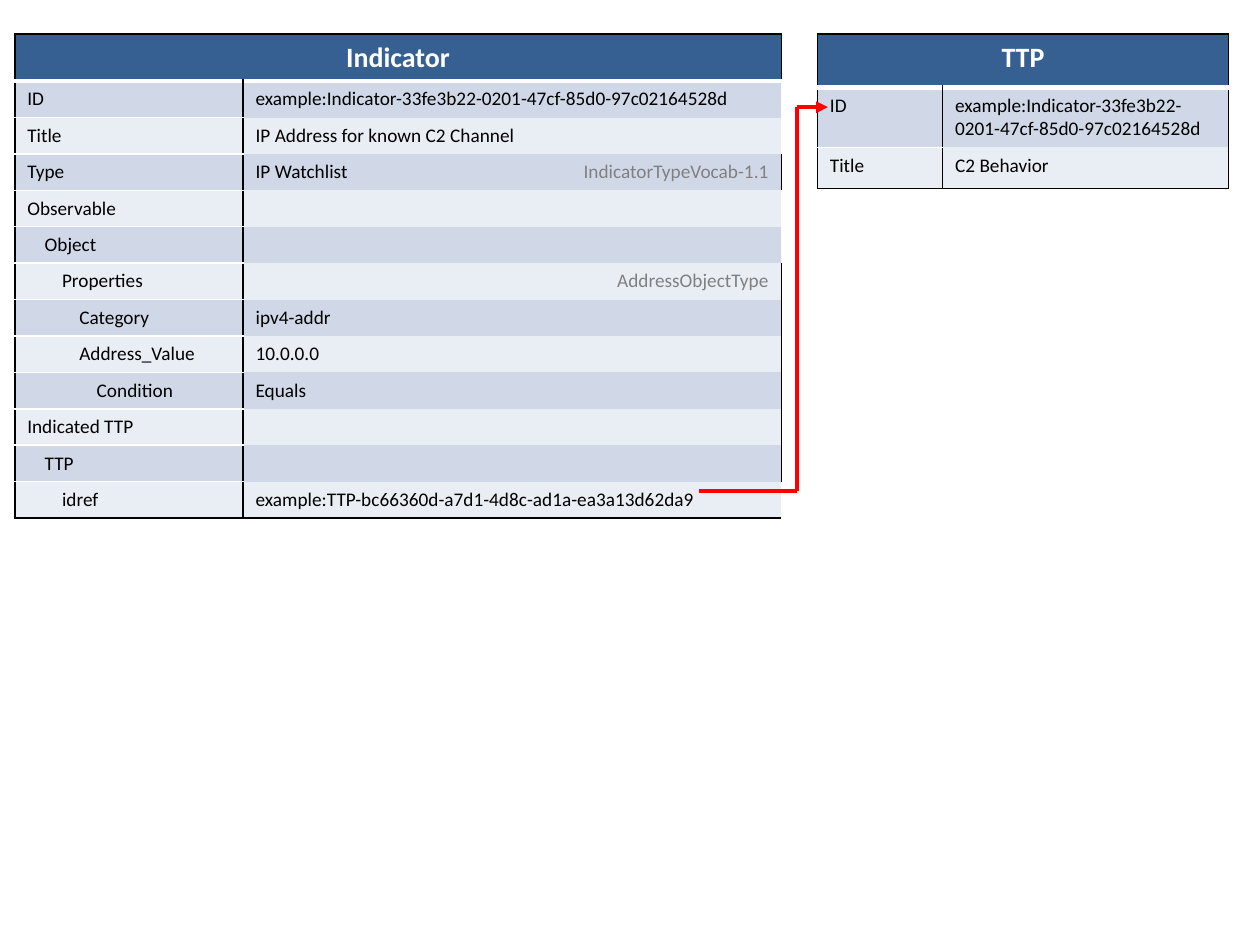
from itertools import pairwise

from lxml import etree
from pptx import Presentation
from pptx.dml.color import RGBColor
from pptx.enum.shapes import MSO_CONNECTOR
from pptx.enum.text import PP_ALIGN
from pptx.oxml.ns import qn
from pptx.util import Cm, Pt

STRAIGHT = MSO_CONNECTOR.STRAIGHT
LEFT, CENTER, RIGHT = PP_ALIGN.LEFT, PP_ALIGN.CENTER, PP_ALIGN.RIGHT

FONT = "Calibri"
BLACK, WHITE, GREY, RED = "000000", "FFFFFF", "808080", "FF0000"
HEADER, BANDS = "376092", ("D0D8E8", "E9EDF4")
MARGIN, INDENT = 0.25, 0.35

# Rows: indent level, field, then values; None joins a cell to the one before.
INDICATOR = {
    "title": "Indicator",
    "at": (0.3, 0.69),
    "cols": (4.6, 4.95, 5.9),
    "heights": (0.94,) + (0.73,) * 12,
    "rows": [
        (0, "ID", "example:Indicator-33fe3b22-0201-47cf-85d0-97c02164528d", None),
        (0, "Title", "IP Address for known C2 Channel", None),
        (0, "Type", "IP Watchlist", "IndicatorTypeVocab-1.1"),
        (0, "Observable", "", None),
        (1, "Object", "", None),
        (2, "Properties", "", "AddressObjectType"),
        (3, "Category", "ipv4-addr", ""),
        (3, "Address_Value", "10.0.0.0", ""),
        (4, "Condition", "Equals", ""),
        (0, "Indicated TTP", "", ""),
        (1, "TTP", "", ""),
        (2, "idref", "example:TTP-bc66360d-a7d1-4d8c-ad1a-ea3a13d62da9", None),
    ],
}
TTP = {
    "title": "TTP",
    "at": (16.48, 0.69),
    "cols": (2.52, 5.77),
    "heights": (1.07, 1.2, 0.83),
    "rows": [
        (0, "ID", "example:Indicator-33fe3b22-0201-47cf-85d0-97c02164528d"),
        (0, "Title", "C2 Behavior"),
    ],
}
REFERENCE = [(14.1, 9.9), (16.06, 9.9), (16.06, 2.16), (16.69, 2.16)]


def rgb(color):
    return RGBColor.from_string(color)


def set_borders(cell, edges):
    """edges maps L, R, T, B to (colour, points); a missing edge is not drawn."""
    tcPr = cell._tc.get_or_add_tcPr()
    for edge in "LRTB":
        ln = etree.SubElement(tcPr, qn(f"a:ln{edge}"))
        if edge in edges:
            color, width = edges[edge]
            ln.set("w", str(Pt(width)))
            fill = etree.SubElement(ln, qn("a:solidFill"))
            etree.SubElement(fill, qn("a:srgbClr"), val=color)
        else:
            etree.SubElement(ln, qn("a:noFill"))


def edges_of(row, col, last_row, last_col):
    """Black frame and field divider, white rules under header and fields."""
    edges = {}
    if row == 0 or col < 2:
        edges["L"] = (BLACK, 1)
    if row == 0 or col in (0, last_col):
        edges["R"] = (BLACK, 1)
    if row == 0:
        edges.update(T=(BLACK, 1), B=(WHITE, 3))
    elif row == 1:
        edges["T"] = (WHITE, 3)
    elif col == 0:
        edges["T"] = (WHITE, 1)
    if row == last_row:
        edges["B"] = (BLACK, 1)
    elif row and col == 0:
        edges["B"] = (WHITE, 1)
    return edges


def write(cell, text, size, color, align, bold=False):
    p = cell.text_frame.paragraphs[0]
    p.text = text
    p.alignment = align
    for r in p.runs:
        r.font.name, r.font.size, r.font.bold = FONT, Pt(size), bold
        r.font.color.rgb = rgb(color)
    if not text:
        etree.SubElement(p._p, qn("a:endParaRPr"), sz=str(size * 100))


def add_record(slide, record):
    cols, heights = record["cols"], record["heights"]
    left, top = record["at"]
    last_row, last_col = len(heights) - 1, len(cols) - 1
    table = slide.shapes.add_table(
        len(heights), len(cols), Cm(left), Cm(top), Cm(sum(cols)), Cm(sum(heights))
    ).table
    table.first_row = table.horz_banding = False
    for column, width in zip(table.columns, cols):
        column.width = Cm(width)
    for row, height in zip(table.rows, heights):
        row.height = Cm(height)

    header = (0, record["title"]) + (None,) * last_col
    for i, (level, *texts) in enumerate([header] + record["rows"]):
        for j, text in enumerate(texts):
            cell = table.cell(i, j)
            set_borders(cell, edges_of(i, j, last_row, last_col))
            cell.fill.solid()
            cell.fill.fore_color.rgb = rgb(BANDS[(i - 1) % 2] if i else HEADER)
            if i == 0:
                write(cell, text or "", 16, WHITE, CENTER, bold=True)
            elif j == 2:
                write(cell, text or "", 11, GREY, RIGHT)
            else:
                write(cell, text, 11, BLACK, LEFT)
            if j == 0:
                cell.margin_left = Cm(MARGIN + level * INDENT)
        if None in texts:
            table.cell(i, texts.index(None) - 1).merge(table.cell(i, last_col))


def add_reference(slide, points):
    for start, end in pairwise(points):
        line = slide.shapes.add_connector(STRAIGHT, *(Cm(v) for v in start + end))
        line.line.color.rgb = rgb(RED)
        line.line.width = Pt(2.25)
        etree.SubElement(line._element.spPr, qn("a:effectLst"))
    etree.SubElement(line.line._get_or_add_ln(), qn("a:tailEnd"), type="triangle")


def main():
    prs = Presentation()
    prs.slide_width, prs.slide_height = Cm(25.4), Cm(19.05)
    s = prs.slides.add_slide(prs.slide_layouts[6])
    for record in (INDICATOR, TTP):
        add_record(s, record)
    add_reference(s, REFERENCE)
    prs.save("out.pptx")


if __name__ == "__main__":
    main()
